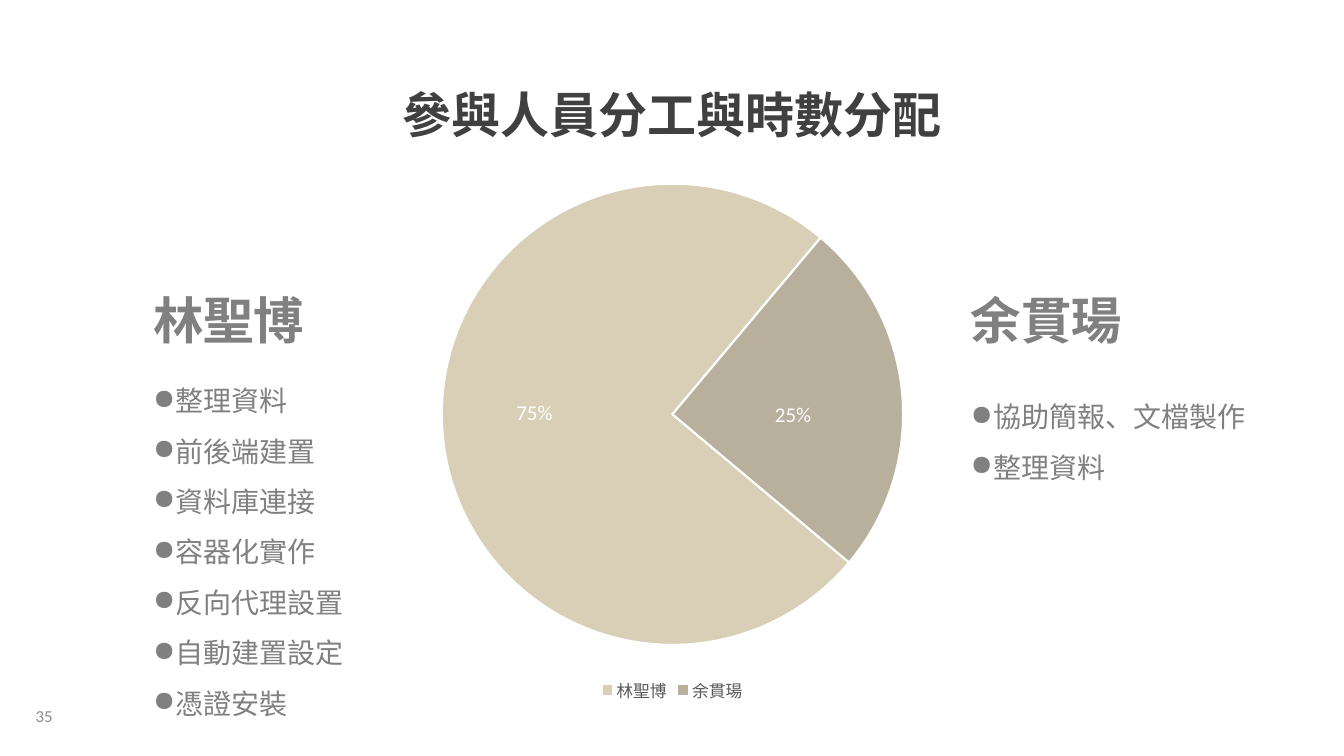
from lxml import etree
from pptx import Presentation
from pptx.chart.data import CategoryChartData
from pptx.dml.color import RGBColor
from pptx.enum.chart import XL_CHART_TYPE, XL_LABEL_POSITION, XL_LEGEND_POSITION
from pptx.enum.text import MSO_ANCHOR, MSO_AUTO_SIZE, PP_ALIGN
from pptx.oxml import parse_xml
from pptx.oxml.ns import nsdecls, qn
from pptx.util import Inches, Pt

PIE = XL_CHART_TYPE.PIE
LABEL_CENTER = XL_LABEL_POSITION.CENTER
LEGEND_BOTTOM = XL_LEGEND_POSITION.BOTTOM
MIDDLE, TOP = MSO_ANCHOR.MIDDLE, MSO_ANCHOR.TOP
LEFT, CENTER, RIGHT = PP_ALIGN.LEFT, PP_ALIGN.CENTER, PP_ALIGN.RIGHT

WIDTH, HEIGHT = 13.33, 7.5
LEFT_COLUMN, CHART_COLUMN, RIGHT_COLUMN = 1.42, 3.81, 9.53
HEADING_TOP, HEADING_HEIGHT = 2.82, 0.71
HEADING_FONT, CHART_FONT = "Montserrat", "Calibri"
GREY = "808080"
BULLET_INDENT = Inches(0.19)

PEOPLE = ["林聖博", "余貫瑒"]
SHARES = [75, 25]
SLICE_COLOURS = ["D8CFB6", "B9AF9D"]
LABEL_SHIFTS = [(-0.04, -0.02), (0.01, 0.02)]
LEFT_TASKS = ["整理資料", "前後端建置", "資料庫連接", "容器化實作",
              "反向代理設置", "自動建置設定", "憑證安裝"]
RIGHT_TASKS = ["協助簡報、文檔製作", "整理資料"]


def colour(value):
    """Turn a hex string into a colour."""
    return RGBColor.from_string(value)


def set_font(font, name, size, value, bold=False):
    """Set typeface, size, colour and weight."""
    font.name, font.size, font.bold = name, Pt(size), bold
    font.color.rgb = colour(value)


def inches(box):
    """Convert a box in inches to lengths."""
    return [Inches(side) for side in box]


def add_text(page, box, text, size, value, font=HEADING_FONT, bold=False,
             align=LEFT, anchor=TOP):
    """Add a single line of text in the given box."""
    frame = page.shapes.add_textbox(*inches(box)).text_frame
    frame.word_wrap, frame.vertical_anchor = True, anchor
    para = frame.paragraphs[0]
    para.text, para.alignment = text, align
    set_font(para.font, font, size, value, bold)


def add_title(page, box, text):
    """Move and format the title placeholder."""
    title = page.shapes.title
    title.left, title.top, title.width, title.height = inches(box)
    frame = title.text_frame
    frame.text = text
    frame.auto_size, frame.vertical_anchor = MSO_AUTO_SIZE.NONE, TOP
    para = frame.paragraphs[0]
    para.alignment = CENTER
    set_font(para.font, HEADING_FONT, 35, "404040", True)


def add_tasks(page, box, tasks):
    """Add a bulleted list of tasks."""
    frame = page.shapes.add_textbox(*inches(box)).text_frame
    frame.word_wrap = True
    for index, task in enumerate(tasks):
        para = frame.add_paragraph() if index else frame.paragraphs[0]
        para.text, para.line_spacing = task, 1.5
        settings = para._p.get_or_add_pPr()
        settings.set("marL", str(BULLET_INDENT))
        settings.set("indent", str(-BULLET_INDENT))
        etree.SubElement(settings, qn("a:buChar"), char="●")
        set_font(para.font, HEADING_FONT, 20, GREY)


def add_person(page, left, name, name_width, list_box, tasks):
    """Add a person's name above the list of tasks."""
    add_text(page, (left, HEADING_TOP, name_width, HEADING_HEIGHT), name, 36, GREY, bold=True)
    add_tasks(page, (left, *list_box), tasks)


def manual_layout(**values):
    """Build a chart layout element from named values."""
    parts = "".join(f'<c:{name} val="{value}"/>' for name, value in values.items())
    return parse_xml(f'<c:layout {nsdecls("c")}><c:manualLayout>{parts}'
                     '</c:manualLayout></c:layout>')


def style_slice(point, fill, shift):
    """Colour one slice and place its percentage label."""
    point.format.fill.solid()
    point.format.fill.fore_color.rgb = colour(fill)
    point.format.line.color.rgb = colour("FFFFFF")
    point.format.line.width = Pt(1.5)
    label = point.data_label
    set_font(label.font, CHART_FONT, 15, "FFFFFF")
    label.position = LABEL_CENTER
    element = label._get_or_add_dLbl()
    element.find(qn("c:showVal")).set("val", "0")
    element.find(qn("c:showPercent")).set("val", "1")
    element.insert(1, manual_layout(x=shift[0], y=shift[1]))


def add_pie(page, box):
    """Add the pie chart of hours."""
    data = CategoryChartData()
    data.categories = PEOPLE
    data.add_series("Series 1", SHARES)
    chart = page.shapes.add_chart(PIE, *inches(box), data).chart
    chart.has_title = False
    set_font(chart.font, CHART_FONT, 10, "000000")
    chart.has_legend = True
    chart.legend.position = LEGEND_BOTTOM
    chart.legend.include_in_layout = False
    set_font(chart.legend.font, CHART_FONT, 12, "595959")
    plot = chart.plots[0]
    plot.vary_by_categories = True
    plot.has_data_labels = True
    labels = plot.data_labels
    labels.show_percentage, labels.show_value = True, False
    set_font(labels.font, CHART_FONT, 15, "FFFFFF")
    for index, (fill, shift) in enumerate(zip(SLICE_COLOURS, LABEL_SHIFTS)):
        style_slice(plot.series[0].points[index], fill, shift)
    pie = plot._element
    for angle in pie.findall(qn("c:firstSliceAng")):
        pie.remove(angle)
    etree.SubElement(pie, qn("c:firstSliceAng"), val="130")
    area = pie.getparent()
    for layout in area.findall(qn("c:layout")):
        area.remove(layout)
    area.insert(0, manual_layout(layoutTarget="inner", xMode="edge", yMode="edge",
                                 x=0.1, y=0.04, w=0.8, h=0.85))


def build_page(deck):
    """Build the slide on division of work and hours."""
    page = deck.slides.add_slide(deck.slide_layouts[5])
    add_title(page, (0, 0.79, WIDTH, 0.69), "參與人員分工與時數分配")
    add_pie(page, (CHART_COLUMN, 1.59, RIGHT_COLUMN - CHART_COLUMN, 5.42))
    add_person(page, LEFT_COLUMN, PEOPLE[0], 2.39, (3.59, 2.39, 3.58), LEFT_TASKS)
    add_person(page, RIGHT_COLUMN, PEOPLE[1], 2.63, (3.75, 3.06, 1.56), RIGHT_TASKS)
    add_text(page, (0, 6.9, 0.62, 0.4), "35", 12, "8C8C8C", CHART_FONT,
             align=RIGHT, anchor=MIDDLE)


def main():
    """Create and save the deck."""
    deck = Presentation()
    deck.slide_width, deck.slide_height = Inches(WIDTH), Inches(HEIGHT)
    build_page(deck)
    deck.save("out.pptx")


if __name__ == "__main__":
    main()
